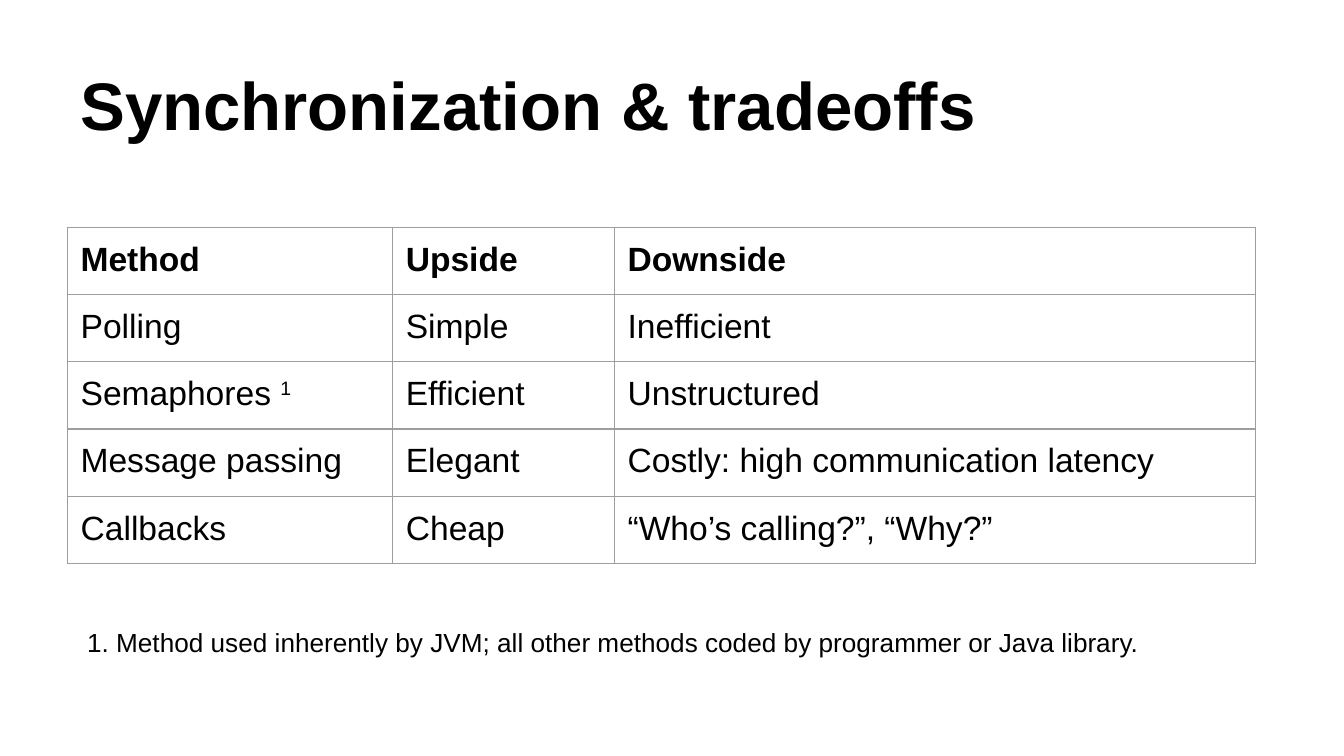
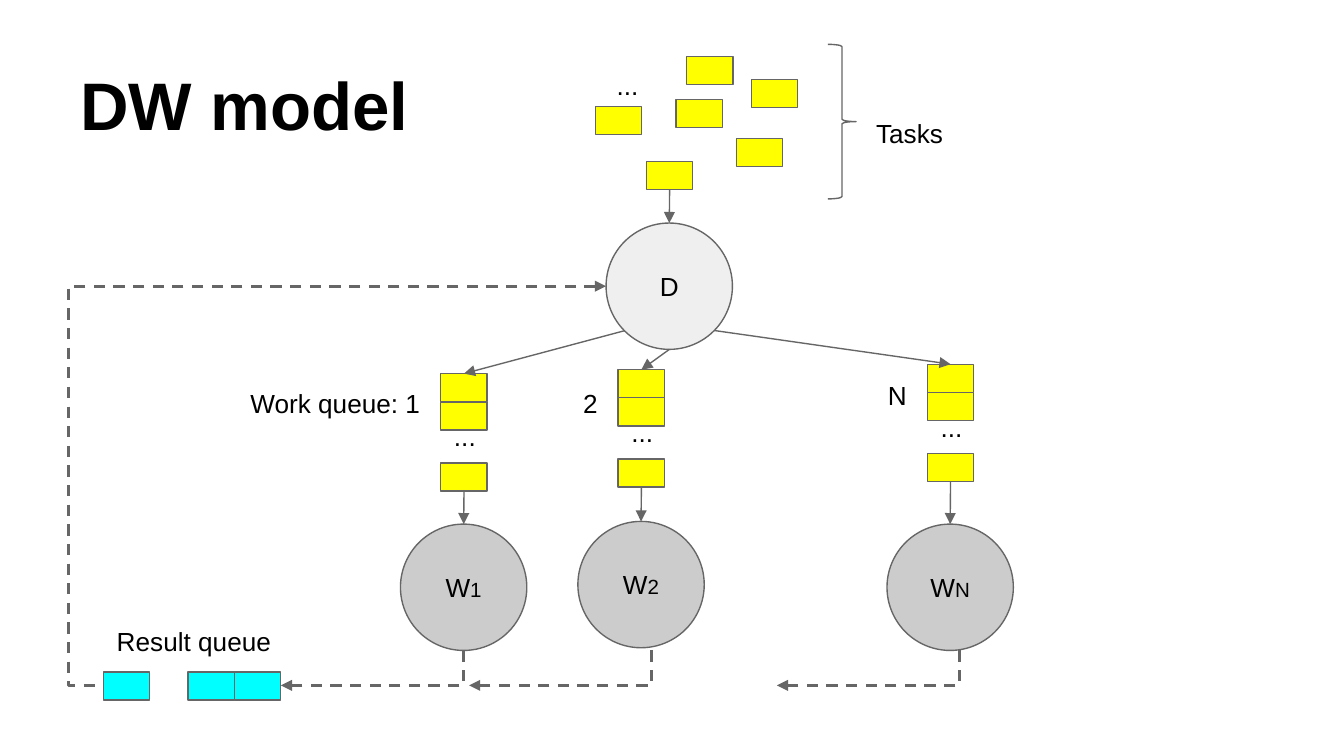
from pptx import Presentation
from pptx.dml.color import RGBColor
from pptx.enum.dml import MSO_LINE
from pptx.enum.shapes import MSO_CONNECTOR, MSO_SHAPE
from pptx.enum.text import MSO_ANCHOR, PP_ALIGN
from pptx.oxml.ns import qn
from pptx.util import Inches, Pt
from lxml import etree

LEFT, CENTER, RIGHT = PP_ALIGN.LEFT, PP_ALIGN.CENTER, PP_ALIGN.RIGHT
TOP, MIDDLE, BOTTOM = MSO_ANCHOR.TOP, MSO_ANCHOR.MIDDLE, MSO_ANCHOR.BOTTOM
RECTANGLE, OVAL, BRACE = MSO_SHAPE.RECTANGLE, MSO_SHAPE.OVAL, MSO_SHAPE.RIGHT_BRACE
STRAIGHT, ELBOW = MSO_CONNECTOR.STRAIGHT, MSO_CONNECTOR.ELBOW
DASH = MSO_LINE.DASH

FONT = "Arial"
BLACK, GRAY, BORDER = "000000", "666666", "9E9E9E"
YELLOW, CYAN, PALE, SILVER = "FFFF00", "00FFFF", "EFEFEF", "CCCCCC"
COLUMNS, ROWS = 100, 56.25
BOX_WIDTH, BOX_HEIGHT, CIRCLE = 3.45, 2.1, 9.4
TOP_SITE, BOTTOM_SITE = 0, 2

METHODS = [
    ("Method", "Upside", "Downside"),
    ("Polling", "Simple", "Inefficient"),
    (("Semaphores ", "1"), "Efficient", "Unstructured"),
    ("Message passing", "Elegant", "Costly: high communication latency"),
    ("Callbacks", "Cheap", "“Who’s calling?”, “Why?”"),
]
TASKS = [(44.3, 7.9), (54.8, 10.3), (50.3, 7.4), (55.9, 5.9), (51.1, 4.2)]
QUEUES = [
    ("1", "Work queue: 1", 32.8, 27.8, 27.8, 39, (46.5, 24.6), 34.5),
    ("2", "2", 46, 27.5, 27.8, 38.8, (49.8, 26), 48.5),
    ("N", "N", 69, 27.1, 27.2, 39, (53.2, 24.6), 71.4),
]


def grid(*cells):
    """Convert grid cells to slide lengths."""
    return [Inches(cell * 10 / COLUMNS) for cell in cells]


def color(value):
    """Return the colour for a hex string."""
    return RGBColor.from_string(value)


def write_text(frame, text, size=14, bold=False, align=LEFT, anchor=TOP,
               small=None, raised=False):
    """Write a string, or a pair of main text and suffix, in a frame."""
    frame.word_wrap = True
    frame.vertical_anchor = anchor
    frame.margin_left, frame.margin_top, frame.margin_right, frame.margin_bottom = grid(1, 1, 1, 1)
    paragraph = frame.paragraphs[0]
    paragraph.alignment = align
    parts = (text,) if isinstance(text, str) else text
    for index, part in enumerate(parts):
        run = paragraph.add_run()
        run.text = part
        run.font.name = FONT
        run.font.size = Pt(small if index and small else size)
        run.font.bold = bold
        run.font.color.rgb = color(BLACK)
        if index and raised:
            run.font._element.set("baseline", "30000")


def add_text(slide, text, left, top, width, height, **text_format):
    """Add a text box."""
    box = slide.shapes.add_textbox(*grid(left, top, width, height))
    write_text(box.text_frame, text, **text_format)


def add_title(slide, text, width=90):
    """Add the slide title."""
    add_text(slide, text, 5, 2.3, width, 9.4, size=36, bold=True, anchor=BOTTOM)


def add_figure(slide, kind, left, top, width, height, fill=None):
    """Add an outlined shape, filled if a colour is given."""
    shape = slide.shapes.add_shape(kind, *grid(left, top, width, height))
    shape.shadow.inherit = False
    shape.line.color.rgb = color(GRAY)
    shape.line.width = Pt(0.75)
    if fill:
        shape.fill.solid()
        shape.fill.fore_color.rgb = color(fill)
    else:
        shape.fill.background()
    return shape


def add_box(slide, left, top, fill=YELLOW):
    """Add a box for one task or result."""
    return add_figure(slide, RECTANGLE, left, top, BOX_WIDTH, BOX_HEIGHT, fill)


def add_circle(slide, text, left, top, fill):
    """Add a labelled process circle."""
    circle = add_figure(slide, OVAL, left, top, CIRCLE, CIRCLE, fill)
    write_text(circle.text_frame, text, align=CENTER, anchor=MIDDLE, small=11)
    return circle


def add_dots(slide, left, top):
    """Add an ellipsis label."""
    add_text(slide, "...", left, top, 7.7, 3.3)


def add_line(slide, kind, start, end, width=0.75, dash=None, arrow="tailEnd"):
    """Add a connector with one arrowhead."""
    line = slide.shapes.add_connector(kind, *grid(*start, *end))
    line.line.color.rgb = color(GRAY)
    line.line.width = Pt(width)
    if dash:
        line.line.dash_style = dash
    outline = line.line._get_or_add_ln()
    etree.SubElement(outline, qn("a:" + arrow), type="triangle")
    etree.SubElement(line._element.spPr, qn("a:effectLst"))
    return line


def join_down(slide, upper, lower):
    """Point an arrow from the bottom of one shape to the top of another."""
    line = add_line(slide, STRAIGHT, (0, 0), (1, 1))
    line.begin_connect(upper, BOTTOM_SITE)
    line.end_connect(lower, TOP_SITE)


def add_return(slide, right, top=48.4, width=13.6, drop=2.6):
    """Add a dashed arrow that drops from a worker and turns left."""
    left = right - width / 2 - drop / 2
    upper = top + drop / 2 - width / 2
    line = add_line(slide, ELBOW, (left, upper), (left + drop, upper + width), 1.5, DASH)
    properties = line._element.spPr
    properties.find(qn("a:xfrm")).set("rot", "5400000")
    properties.find(qn("a:prstGeom")).set("prst", "bentConnector2")


def add_feedback(slide):
    """Add the dashed arrow from the result queue to the dispatcher."""
    line = add_line(slide, ELBOW, (45.1, 21.3), (7.7, 51), 1.5, DASH, "headEnd")
    geometry = line._element.spPr.find(qn("a:prstGeom"))
    guides = geometry.find(qn("a:avLst"))
    if guides is None:
        guides = etree.SubElement(geometry, qn("a:avLst"))
    etree.SubElement(guides, qn("a:gd"), name="adj1", fmla="val 107000")


def border_cell(cell):
    """Draw thin borders on all sides of a cell."""
    properties = cell._tc.get_or_add_tcPr()
    for side in ("lnL", "lnR", "lnT", "lnB"):
        border = etree.SubElement(properties, qn("a:" + side), w=str(Pt(0.75)))
        fill = etree.SubElement(border, qn("a:solidFill"))
        etree.SubElement(fill, qn("a:srgbClr"), val=BORDER)


def add_methods(slide, left, top, widths, row_height):
    """Add the table that compares the methods."""
    frame = slide.shapes.add_table(len(METHODS), len(widths), *grid(
        left, top, sum(widths), row_height * len(METHODS)))
    table = frame.table
    table.first_row = table.horz_banding = False
    for column, width in zip(table.columns, grid(*widths)):
        column.width = width
    for row_index, values in enumerate(METHODS):
        for column_index, value in enumerate(values):
            cell = table.cell(row_index, column_index)
            border_cell(cell)
            cell.fill.background()
            cell.margin_left, cell.margin_top, cell.margin_right, cell.margin_bottom = grid(1, 1, 1, 1)
            write_cell(cell, value, row_index == 0)


def write_cell(cell, value, bold):
    """Write one table cell."""
    write_text(cell.text_frame, value, size=18, bold=bold, raised=True)


def add_queue(slide, name, label, left, top, label_top, worker_top, source, return_right):
    """Add a work queue with its worker and arrows."""
    first = add_box(slide, left, top)
    add_box(slide, left, top + BOX_HEIGHT)
    last = add_box(slide, left, top + 6.65)
    worker = add_circle(slide, ("W", name), left - 3, worker_top, SILVER)
    incoming = add_line(slide, STRAIGHT, source, (left, top))
    incoming.end_connect(first, TOP_SITE)
    join_down(slide, last, worker)
    add_return(slide, return_right)
    add_text(slide, label, left - 16.75, label_top, 16.2, 4.4, align=RIGHT)
    add_dots(slide, left, top + 2.5)


def build_tradeoffs(slide):
    """Build the table of methods and its footnote."""
    add_title(slide, "Synchronization & tradeoffs")
    add_methods(slide, 5, 16.9, (24.2, 16.5, 47.7), 4.8)
    add_text(slide, "1. Method used inherently by JVM; all other methods coded "
             "by programmer or Java library.", 5.5, 45.6, 88.4, 5.2)


def build_model(slide):
    """Build the diagram of dispatcher and workers."""
    add_title(slide, "DW model", 28.3)
    dispatcher = add_circle(slide, "D", 45.1, 16.6, PALE)
    for left, top in TASKS:
        add_box(slide, left, top)
    next_task = add_box(slide, 48.1, 12)
    join_down(slide, next_task, dispatcher)
    add_dots(slide, 44.9, 4.2)
    brace = add_figure(slide, BRACE, 61.6, 3.3, 2.1, 11.5)
    brace.adjustments[0] = 0.08
    add_text(slide, "Tasks", 64.2, 7.7, 12, 4.4)
    for queue in QUEUES:
        add_queue(slide, *queue)
    for left in (7.7, 14, 14 + BOX_WIDTH):
        add_box(slide, left, 50, CYAN)
    add_text(slide, "Result queue", 7.7, 45.5, 16.2, 4.4)
    add_feedback(slide)


def main():
    """Build and save the presentation."""
    presentation = Presentation()
    presentation.slide_width, presentation.slide_height = grid(COLUMNS, ROWS)
    blank = presentation.slide_layouts[6]
    for build in (build_tradeoffs, build_model):
        build(presentation.slides.add_slide(blank))
    presentation.save("out.pptx")


if __name__ == "__main__":
    main()
